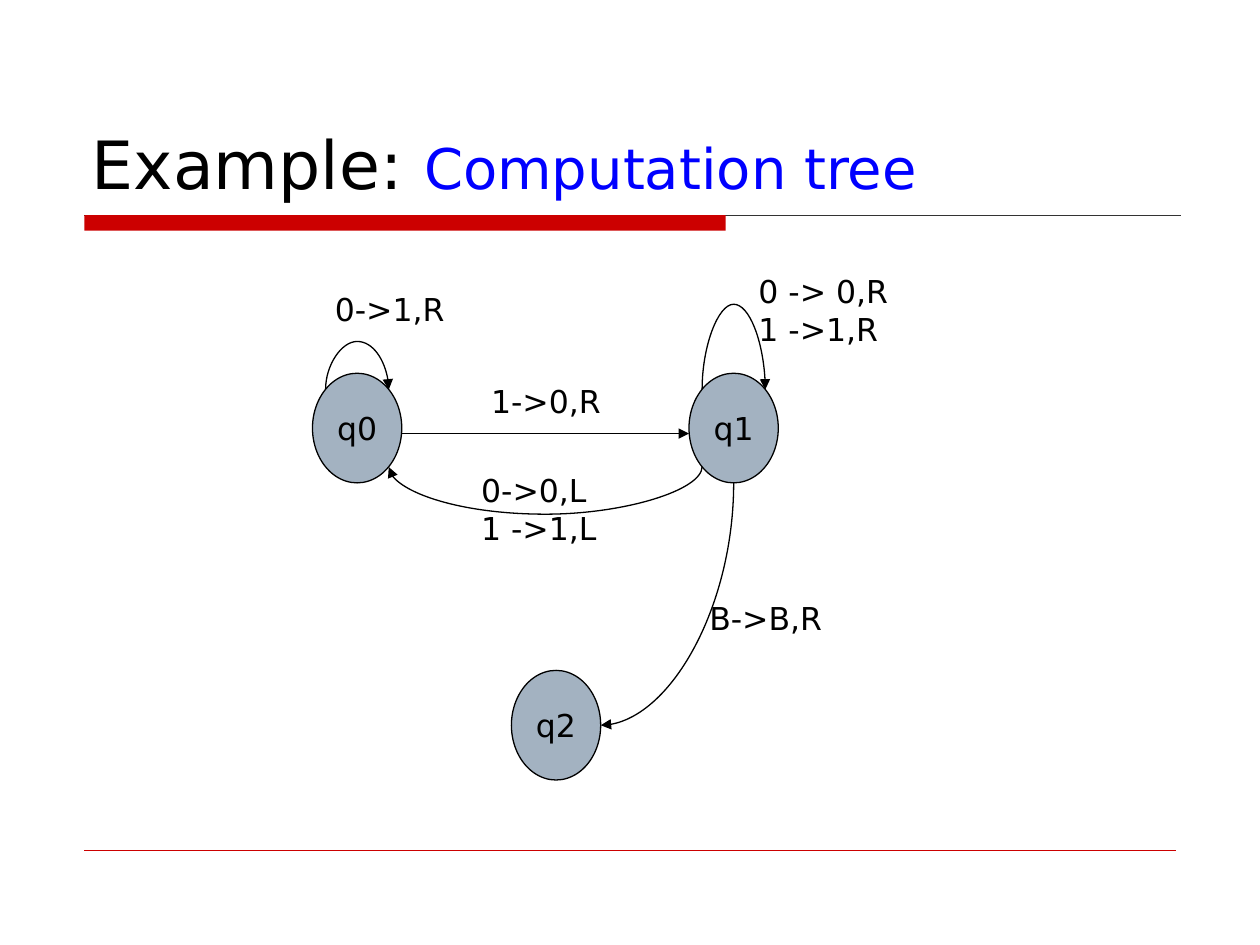
from math import sqrt

from lxml.etree import SubElement
from pptx import Presentation
from pptx.dml.color import RGBColor
from pptx.enum.shapes import MSO_CONNECTOR, MSO_SHAPE
from pptx.enum.text import MSO_ANCHOR, MSO_AUTO_SIZE, PP_ALIGN
from pptx.oxml.ns import qn
from pptx.util import Cm, Pt

BLACK, RED, BLUE, STEEL, GREY = "000000", "CC0000", "0000FF", "A3B2C1", "333333"
STATE_W, STATE_H = 1.8, 2.21
FLAT = 0.01  # smallest rise of a curve whose ends are level


def colour(value):
    return RGBColor.from_string(value)


class Diagram:
    font = "DejaVu Sans"
    size = 18

    def __init__(self, slide):
        self.slide = slide

    def add_text(self, paragraph, text, size=None, ink=BLACK):
        run = paragraph.add_run()
        run.text = text
        run.font.name = self.font
        run.font.size = Pt(size or self.size)
        run.font.color.rgb = colour(ink)

    def title(self, left, top, width, height, parts):
        box = self.slide.shapes.add_textbox(Cm(left), Cm(top), Cm(width), Cm(height))
        frame = box.text_frame
        frame.word_wrap = True
        frame.vertical_anchor = MSO_ANCHOR.BOTTOM
        for text, size, ink in parts:
            self.add_text(frame.paragraphs[0], text, size, ink)

    def label(self, left, top, width, *rows):
        height = 0.26 + 0.76 * len(rows)
        box = self.slide.shapes.add_textbox(Cm(left), Cm(top), Cm(width), Cm(height))
        frame = box.text_frame
        frame.word_wrap = False
        frame.auto_size = MSO_AUTO_SIZE.SHAPE_TO_FIT_TEXT
        for index, row in enumerate(rows):
            paragraph = frame.add_paragraph() if index else frame.paragraphs[0]
            self.add_text(paragraph, row)

    def shape(self, kind, left, top, width, height, fill, line=None):
        shape = self.slide.shapes.add_shape(kind, Cm(left), Cm(top), Cm(width), Cm(height))
        shape.shadow.inherit = False
        shape.fill.solid()
        shape.fill.fore_color.rgb = colour(fill)
        if line:
            shape.line.color.rgb = colour(line)
            shape.line.width = Pt(0.75)
        else:
            shape.line.fill.background()
        return shape

    def state(self, name, x, y):
        oval = self.shape(MSO_SHAPE.OVAL, x - STATE_W / 2, y - STATE_H / 2,
                          STATE_W, STATE_H, STEEL, BLACK)
        frame = oval.text_frame
        frame.word_wrap = False
        frame.vertical_anchor = MSO_ANCHOR.MIDDLE
        frame.paragraphs[0].alignment = PP_ALIGN.CENTER
        self.add_text(frame.paragraphs[0], name)

    def line(self, start, end, ink=BLACK, width=0.75, arrow=False,
             kind=MSO_CONNECTOR.STRAIGHT):
        link = self.slide.shapes.add_connector(kind, *map(Cm, start + end))
        link.line.color.rgb = colour(ink)
        link.line.width = Pt(width)
        properties = link._element.spPr
        if arrow:
            SubElement(properties.find(qn("a:ln")), qn("a:tailEnd"), type="triangle")
        SubElement(properties, qn("a:effectLst"))
        return link

    def curve(self, start, end, bulge=None):
        """Arrow leaving vertically; without a bulge it makes a single bend."""
        link = self.line(start, end, arrow=True, kind=MSO_CONNECTOR.CURVE)
        (x1, y1), (x2, y2) = start, end
        rise, run = max(y2 - y1, FLAT), abs(x2 - x1)
        # The frame is turned a quarter, so its width is the rise
        xfrm = link._element.spPr.find(qn("a:xfrm"))
        for flip in ("flipH", "flipV"):
            xfrm.attrib.pop(flip, None)
        xfrm.set("rot", "5400000")
        if x2 > x1:
            xfrm.set("flipV", "1")
        link.left, link.top = Cm((x1 + x2 - rise) / 2), Cm((y1 + y2 - run) / 2)
        link.width, link.height = Cm(rise), Cm(run)
        geometry = link._element.spPr.find(qn("a:prstGeom"))
        if bulge is None:
            geometry.set("prst", "curvedConnector2")
        else:
            guides = geometry.find(qn("a:avLst"))
            SubElement(guides, qn("a:gd"), name="adj1",
                       fmla=f"val {round(bulge / rise * 100000)}")


def rim(centre, across, down):
    """Point on a state's outline, in a diagonal or a straight direction."""
    reach = 1 / sqrt(across ** 2 + down ** 2)
    return (centre[0] + across * reach * STATE_W / 2,
            centre[1] + down * reach * STATE_H / 2)


def main():
    deck = Presentation()
    deck.slide_width, deck.slide_height = Cm(25.4), Cm(19.05)
    diagram = Diagram(deck.slides.add_slide(deck.slide_layouts[6]))

    # Title and rules
    diagram.line((1.7, 4.34), (23.8, 4.34), GREY)
    diagram.shape(MSO_SHAPE.RECTANGLE, 1.7, 4.34, 12.93, 0.31, RED)
    diagram.line((1.7, 17.14), (23.7, 17.14), RED, 0.25)
    diagram.title(1.6, 0.84, 22.22, 3.38,
                  [("Example: ", 38, BLACK), ("Computation tree", 32, BLUE)])

    # States
    q0, q1, q2 = (7.2, 8.63), (14.79, 8.63), (11.21, 14.62)
    for name, centre in (("q0", q0), ("q1", q1), ("q2", q2)):
        diagram.state(name, *centre)

    # Transitions
    diagram.curve(rim(q0, -1, -1), rim(q0, 1, -1), -0.96)
    diagram.curve(rim(q1, -1, -1), rim(q1, 1, -1), -1.71)
    diagram.curve(rim(q1, -1, 1), rim(q0, 1, 1), 0.96)
    diagram.curve(rim(q1, 0, 1), rim(q2, 1, 0))
    diagram.line((8.1, 8.74), (13.89, 8.74), arrow=True)

    # Transition labels
    diagram.label(6.5, 5.72, 2.79, "0->1,R")
    diagram.label(9.65, 7.57, 2.79, "1->0,R")
    diagram.label(15.04, 5.36, 3.25, "0 -> 0,R", "1 ->1,R")
    diagram.label(9.45, 9.37, 2.95, "0->0,L", "1 ->1,L")
    diagram.label(14.05, 11.96, 2.87, "B->B,R")

    deck.save("out.pptx")


if __name__ == "__main__":
    main()
